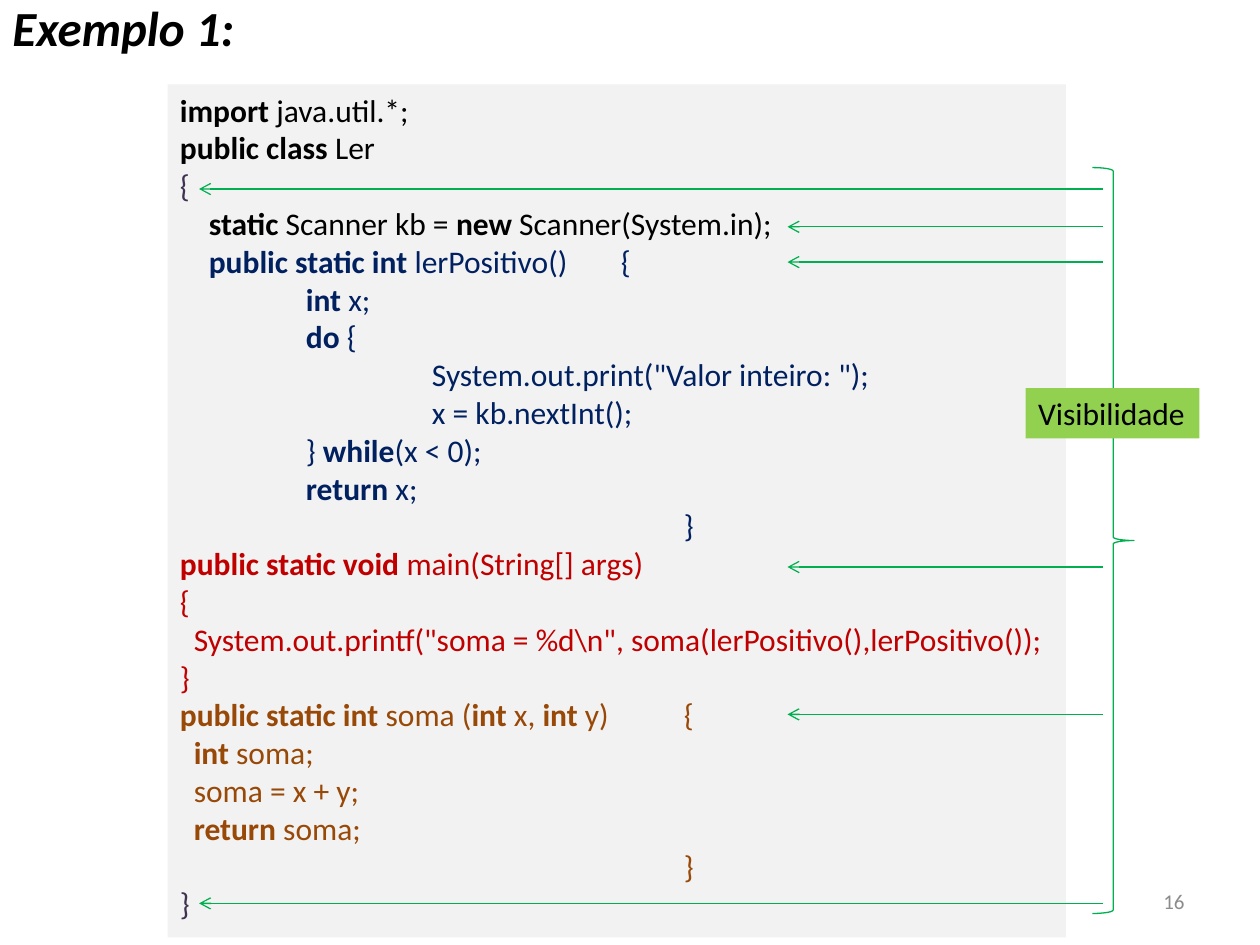
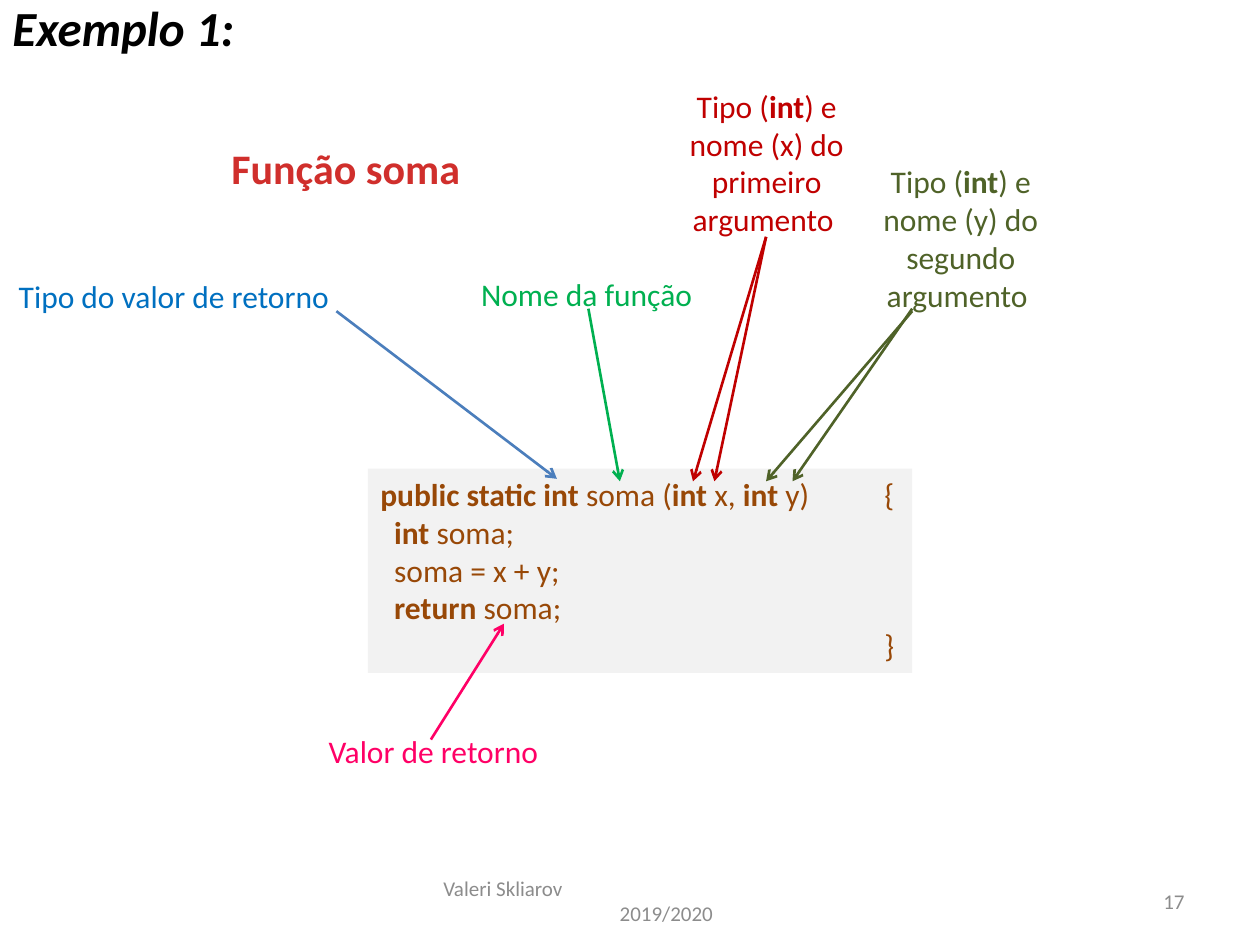
from lxml import etree
from pptx import Presentation
from pptx.dml.color import RGBColor
from pptx.enum.shapes import MSO_CONNECTOR, MSO_SHAPE
from pptx.enum.text import MSO_ANCHOR, MSO_AUTO_SIZE, PP_ALIGN
from pptx.oxml.ns import qn
from pptx.util import Inches, Pt

STRAIGHT = MSO_CONNECTOR.STRAIGHT
RIGHT_BRACE = MSO_SHAPE.RIGHT_BRACE
LEFT, CENTER, RIGHT = PP_ALIGN.LEFT, PP_ALIGN.CENTER, PP_ALIGN.RIGHT
TOP, MIDDLE = MSO_ANCHOR.TOP, MSO_ANCHOR.MIDDLE

THEME = {
    "font": "Calibri",
    "title_size": 28, "heading_size": 24, "body_size": 18, "footer_size": 12,
    "black": "000000", "gray": "8C8C8C", "code_fill": "F2F2F2",
    "violet": "403152", "navy": "002060", "red": "C00000", "brown": "984807",
    "green": "00B050", "lime": "92D050", "blue": "0070C0", "steel": "4B7EBC",
    "olive": "4F6228", "pink": "FF0066", "heading": "D02F2C",
}
TAB_STOP = 4


def add_text(page, place, lines, size="body_size", fill=None, align=LEFT,
             anchor=TOP, wrap=False, bold=False, italic=False):
    """Write (text, colour, first-line indent) lines; ** switches bold on and off."""
    box = page.shapes.add_textbox(*[Inches(length) for length in place])
    if fill:
        box.fill.solid()
        box.fill.fore_color.rgb = RGBColor.from_string(THEME[fill])
    frame = box.text_frame
    frame.word_wrap = wrap
    frame.vertical_anchor = anchor
    frame.auto_size = MSO_AUTO_SIZE.NONE if anchor == MIDDLE else MSO_AUTO_SIZE.SHAPE_TO_FIT_TEXT
    for number, (text, color, indent) in enumerate(lines):
        para = frame.paragraphs[0] if number == 0 else frame.add_paragraph()
        para.alignment = align
        properties = para._p.get_or_add_pPr()
        if indent:
            properties.set("marL", "0")
            properties.set("indent", str(Inches(indent)))
        if "\t" in text:
            tabs = etree.SubElement(properties, qn("a:tabLst"))
            etree.SubElement(tabs, qn("a:tab"), pos=str(Inches(TAB_STOP)), algn="l")
        for part, words in enumerate(text.split("**")):
            if not words:
                continue
            span = para.add_run()
            span.text = words
            font_format = {"name": THEME["font"], "size": Pt(THEME[size]),
                           "bold": bold or part % 2 == 1, "italic": italic}
            for name, value in font_format.items():
                setattr(span.font, name, value)
            span.font.color.rgb = RGBColor.from_string(THEME[color])


def add_arrow(page, start, end, color, width):
    arrow = page.shapes.add_connector(
        STRAIGHT, *[Inches(length) for length in (*start, *end)])
    arrow.line.color.rgb = RGBColor.from_string(THEME[color])
    arrow.line.width = Pt(width)
    etree.SubElement(arrow.line._get_or_add_ln(), qn("a:tailEnd"), type="arrow")
    etree.SubElement(arrow._element.spPr, qn("a:effectLst"))


deck = Presentation()
deck.slide_width, deck.slide_height = Inches(10), Inches(7.5)
pages = []
for page_number in ("16", "17"):
    page = deck.slides.add_slide(deck.slide_layouts[6])
    add_text(page, (7.17, 6.95, 2.33, 0.4), [(page_number, "gray", 0)],
             size="footer_size", align=RIGHT, anchor=MIDDLE, wrap=True)
    add_text(page, (0, -0.07, 1.98, 0.57), [("Exemplo 1:", "black", 0)],
             size="title_size", bold=True, italic=True)
    pages.append(page)
visibility_page, function_page = pages

# Code listings
sum_function = [
    ("**public static int **soma (**int** x, **int** y)\t{", "brown", 0),
    ("**int** soma;", "brown", 0.11),
    ("soma = x + y;", "brown", 0.11),
    ("**return** soma;", "brown", 0.11),
    ("}", "brown", TAB_STOP),
]
program = [
    ("**import **java.util.*;", "black", 0),
    ("**public class **Ler", "black", 0),
    ("{", "violet", 0),
    ("**static** Scanner kb = **new** Scanner(System.in);", "black", 0.23),
    ("**public static int **lerPositivo()\t{", "navy", 0.23),
    ("**int** x;", "navy", 1),
    ("**do **{", "navy", 1),
    ('System.out.print("Valor inteiro: ");', "navy", 2),
    ("x = kb.nextInt();", "navy", 2),
    ("} **while**(x < 0);", "navy", 1),
    ("**return** x;", "navy", 1),
    ("}", "navy", TAB_STOP),
    ("**public static void **main(String[] args)", "red", 0),
    ("{", "red", 0),
    ('System.out.printf("soma = %d\\n", soma(lerPositivo(),lerPositivo());', "red", 0.11),
    ("}", "red", 0),
    *sum_function,
    ("}", "violet", 0),
]
add_text(visibility_page, (1.33, 0.67, 7.13, 6.77), program, fill="code_fill")
add_text(function_page, (2.92, 3.72, 4.32, 1.62), sum_function, fill="code_fill")

# Visibility: class braces get long arrows, members short ones
for tip, heights in ((1.58, (7.17, 1.5)), (6.25, (1.8, 2.08, 4.5, 5.67))):
    for height in heights:
        add_arrow(visibility_page, (8.75, height), (tip, height), "green", 0.75)
brace = visibility_page.shapes.add_shape(
    RIGHT_BRACE, Inches(8.67), Inches(1.33), Inches(0.33), Inches(5.92))
brace.shadow.inherit = False
brace.fill.background()
brace.line.color.rgb = RGBColor.from_string(THEME["green"])
brace.line.width = Pt(0.75)
add_text(visibility_page, (8.14, 3.08, 1.38, 0.4),
         [("Visibilidade", "black", 0)], fill="lime")

# Parts of the function: label, place, label colour, arrow colour, arrows
callouts = [
    ("Tipo do valor de retorno", (0.05, 2.15, 2.69, 0.4), "blue", "steel",
     [((2.67, 2.47), (4.42, 3.8))]),
    ("Nome da função", (3.72, 2.13, 1.9, 0.4), "green", "green",
     [((4.67, 2.45), (4.92, 3.82))]),
    ("Tipo (**int**) e nome (x) do primeiro argumento ", (5.21, 0.64, 1.75, 1.31), "red", "red",
     [((6.08, 1.88), (5.5, 3.82)), ((6.08, 1.88), (5.67, 3.82))]),
    ("Tipo (**int**) e nome (y) do segundo argumento ", (6.75, 1.24, 1.75, 1.31), "olive", "olive",
     [((7.24, 2.47), (6.08, 3.82)), ((7.24, 2.45), (6.29, 3.82))]),
    ("Valor de retorno", (2.51, 5.76, 1.88, 0.4), "pink", "pink",
     [((3.42, 5.87), (4, 4.95))]),
]
for label, place, color, arrow_color, arrows in callouts:
    for start, end in arrows:
        add_arrow(function_page, start, end, arrow_color, 1.5)
    is_argument = "argumento" in label
    add_text(function_page, place, [(label, color, 0)], wrap=is_argument,
             align=CENTER if is_argument else LEFT)

add_text(function_page, (1.73, 1.08, 2.03, 0.5), [("Função soma", "heading", 0)],
         size="heading_size", align=CENTER, bold=True)
add_text(function_page, (3.42, 6.95, 3.17, 0.4),
         [("Valeri Skliarov", "gray", 0), ("2019/2020", "gray", 1.4)],
         size="footer_size", anchor=MIDDLE, wrap=True)

deck.save("out.pptx")
